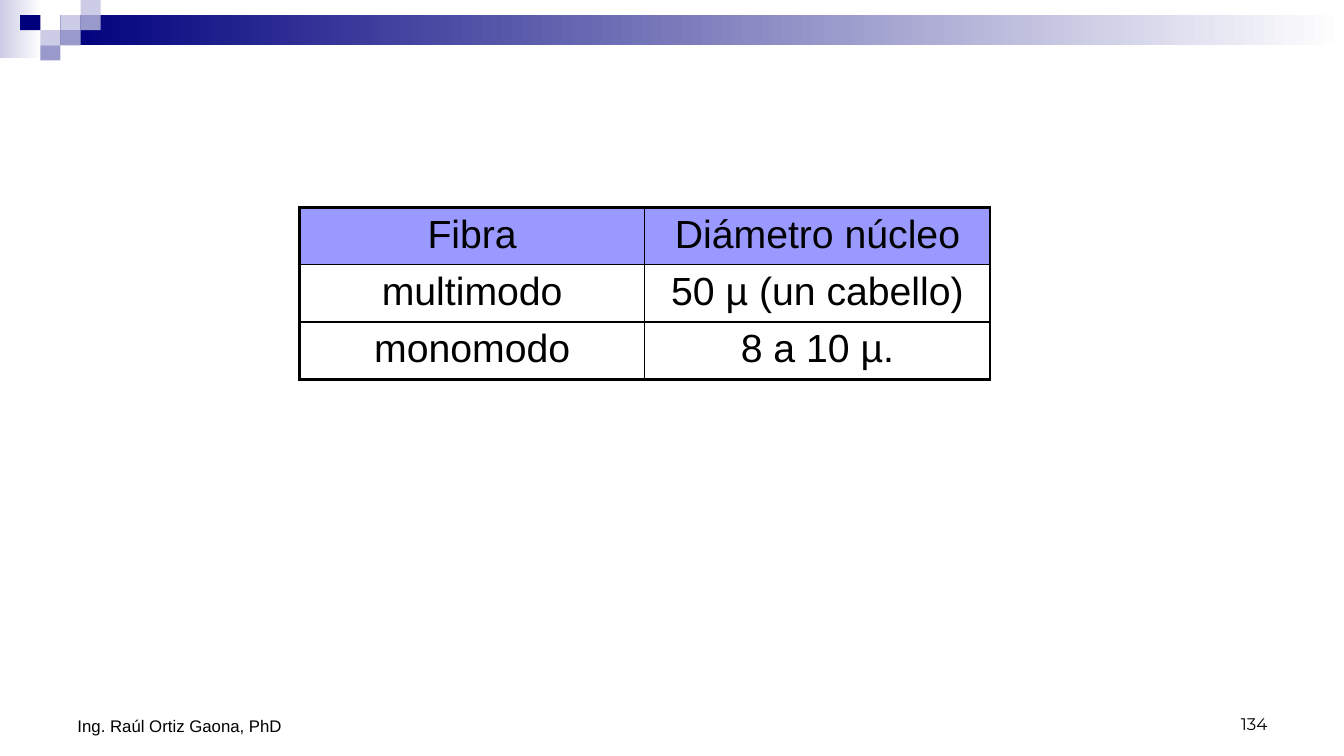
"""Build a slide with a table of optical fibre core diameters."""
import lxml.etree
import pptx
import pptx.dml.color
import pptx.enum.shapes
import pptx.enum.text
import pptx.oxml.ns
import pptx.util

Inches = pptx.util.Inches
Pt = pptx.util.Pt
RGBColor = pptx.dml.color.RGBColor
Align = pptx.enum.text.PP_ALIGN

BLACK = RGBColor(0x00, 0x00, 0x00)
WHITE = RGBColor(0xFF, 0xFF, 0xFF)
NAVY = RGBColor(0x00, 0x00, 0x7D)
PALE = RGBColor(0xCC, 0xCC, 0xE6)
LILAC = RGBColor(0x99, 0x99, 0xCC)
HEADER = RGBColor(0x99, 0x99, 0xFF)

FADES = [(0, 0, 0.42, 0.58, PALE), (0.6, 0.15, 12.73, 0.3, NAVY)]
TILE_WIDTH, TILE_HEIGHT = 0.2, 0.15
TILES = [(3, 1, PALE), (4, 0, PALE), (4, 1, LILAC), (2, 2, PALE),
         (1, 1, NAVY), (3, 2, LILAC), (2, 3, LILAC)]
FIBRES = [
    ("Fibra", "Diámetro núcleo"),
    ("multimodo", "50 µ (un cabello)"),
    ("monomodo", "8 a 10 µ."),
]
OUTER_LINE, INNER_LINE = Pt(2.25), Pt(1)


def add_block(page, left, top, width, height):
    """Add a rectangle without line or shadow."""
    block = page.shapes.add_shape(
        pptx.enum.shapes.MSO_SHAPE.RECTANGLE,
        Inches(left), Inches(top), Inches(width), Inches(height))
    block.shadow.inherit = False
    block.line.fill.background()
    return block


def add_fade(page, left, top, width, height, color):
    """Add a rectangle that fades to white from left to right."""
    fill = add_block(page, left, top, width, height).fill
    fill.gradient()
    fill.gradient_angle = 0
    for stop, stop_color in zip(fill.gradient_stops, (color, WHITE)):
        stop.color.rgb = stop_color


def add_tile(page, column, row, color):
    """Add one tile of the corner mosaic."""
    tile = add_block(page, column * TILE_WIDTH, row * TILE_HEIGHT,
                     TILE_WIDTH, TILE_HEIGHT)
    tile.fill.solid()
    tile.fill.fore_color.rgb = color


def write(frame, text, size, font_name, alignment):
    """Write one formatted paragraph in a text frame."""
    para = frame.paragraphs[0]
    para.text = text
    para.alignment = alignment
    para.font.size = Pt(size)
    para.font.name = font_name
    para.font.color.rgb = BLACK


def add_footer(page, left, height, text, font_name, alignment):
    """Add a bottom-anchored footer text."""
    box = page.shapes.add_textbox(
        Inches(left), Inches(6.83), Inches(3.11), Inches(height))
    frame = box.text_frame
    frame.word_wrap = True
    frame.vertical_anchor = pptx.enum.text.MSO_ANCHOR.BOTTOM
    write(frame, text, 12, font_name, alignment)


def add_border(cell, side, width):
    """Draw a black border on one side of a cell."""
    qn = pptx.oxml.ns.qn
    properties = cell._tc.get_or_add_tcPr()
    line = lxml.etree.SubElement(properties, qn("a:ln" + side), w=str(width))
    fill = lxml.etree.SubElement(line, qn("a:solidFill"))
    lxml.etree.SubElement(fill, qn("a:srgbClr"), val=str(BLACK))


def add_fibre_table(page):
    """Add the table with a thick frame and a coloured header row."""
    last_row, last_column = len(FIBRES) - 1, len(FIBRES[0]) - 1
    table = page.shapes.add_table(
        last_row + 1, last_column + 1,
        Inches(2.97), Inches(2.06), Inches(6.85), Inches(1.7)).table
    table.first_row = False
    table.horz_banding = False
    for row, texts in enumerate(FIBRES):
        for column, text in enumerate(texts):
            cell = table.cell(row, column)
            write(cell.text_frame, text, 28, "Arial", Align.CENTER)
            edges = {"L": column == 0, "R": column == last_column,
                     "T": row == 0, "B": row == last_row}
            for side, is_outer in edges.items():
                add_border(cell, side, OUTER_LINE if is_outer else INNER_LINE)
            if row == 0:
                cell.fill.solid()
                cell.fill.fore_color.rgb = HEADER
            else:
                cell.fill.background()


def main():
    """Build and save the deck."""
    deck = pptx.Presentation()
    deck.slide_width = Inches(13.33)
    deck.slide_height = Inches(7.5)
    page = deck.slides.add_slide(deck.slide_layouts[6])
    for fade in FADES:
        add_fade(page, *fade)
    for tile in TILES:
        add_tile(page, *tile)
    add_footer(page, 9.56, 0.5, "134", "Montserrat", Align.RIGHT)
    add_footer(page, 0.67, 0.52, "Ing. Raúl Ortiz Gaona, PhD", "Arial",
               Align.LEFT)
    add_fibre_table(page)
    deck.save("out.pptx")


if __name__ == "__main__":
    main()
